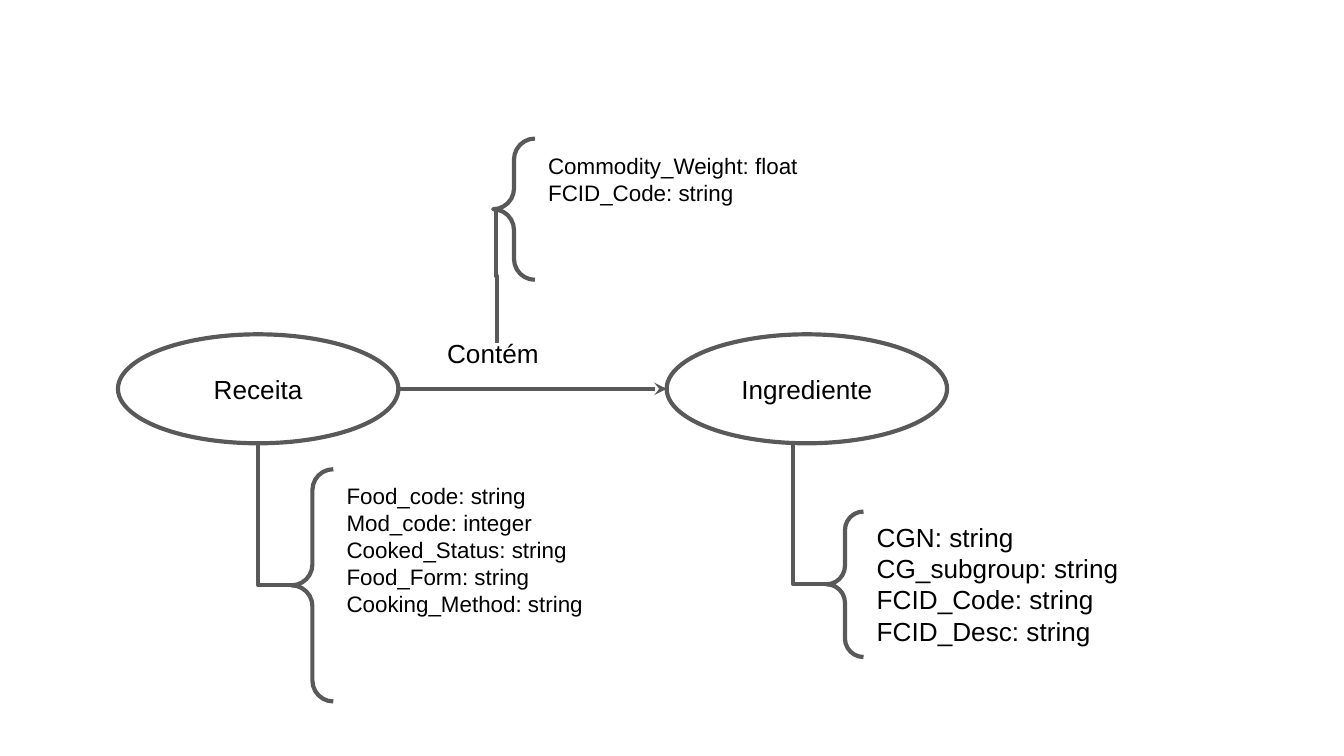
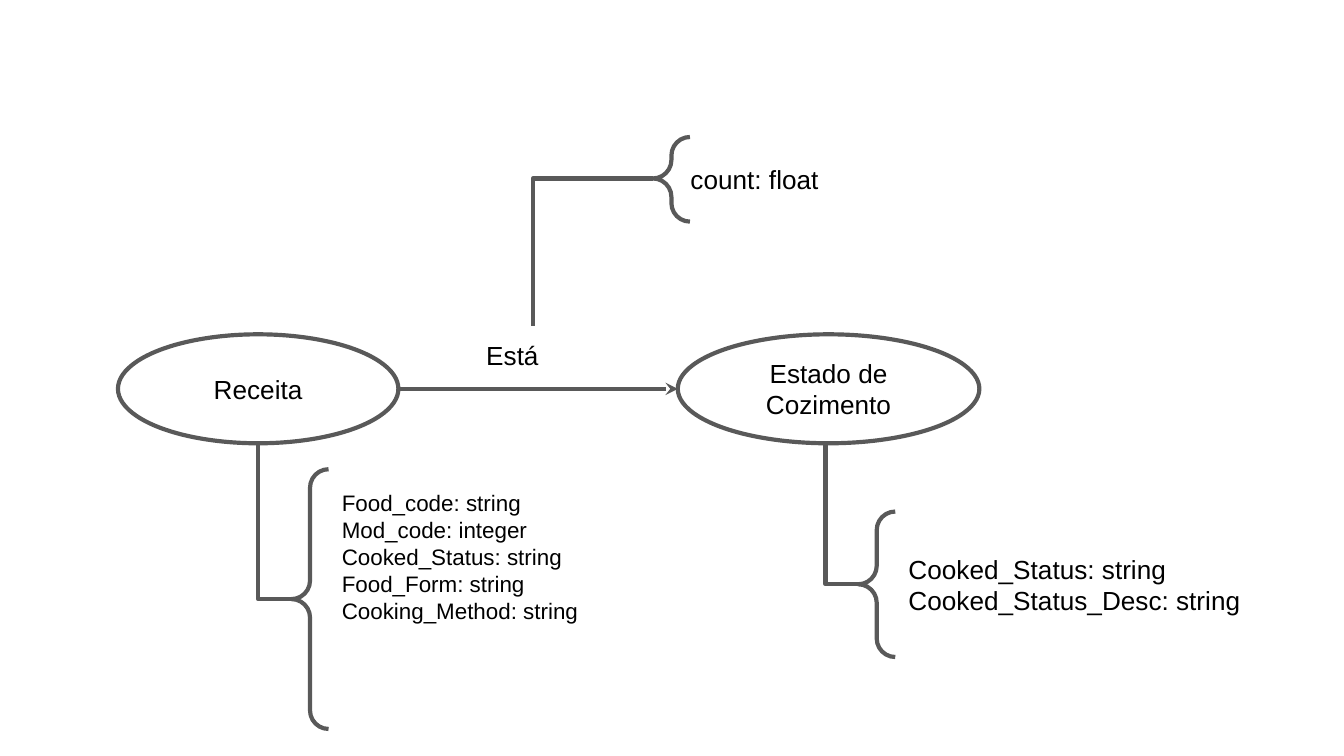
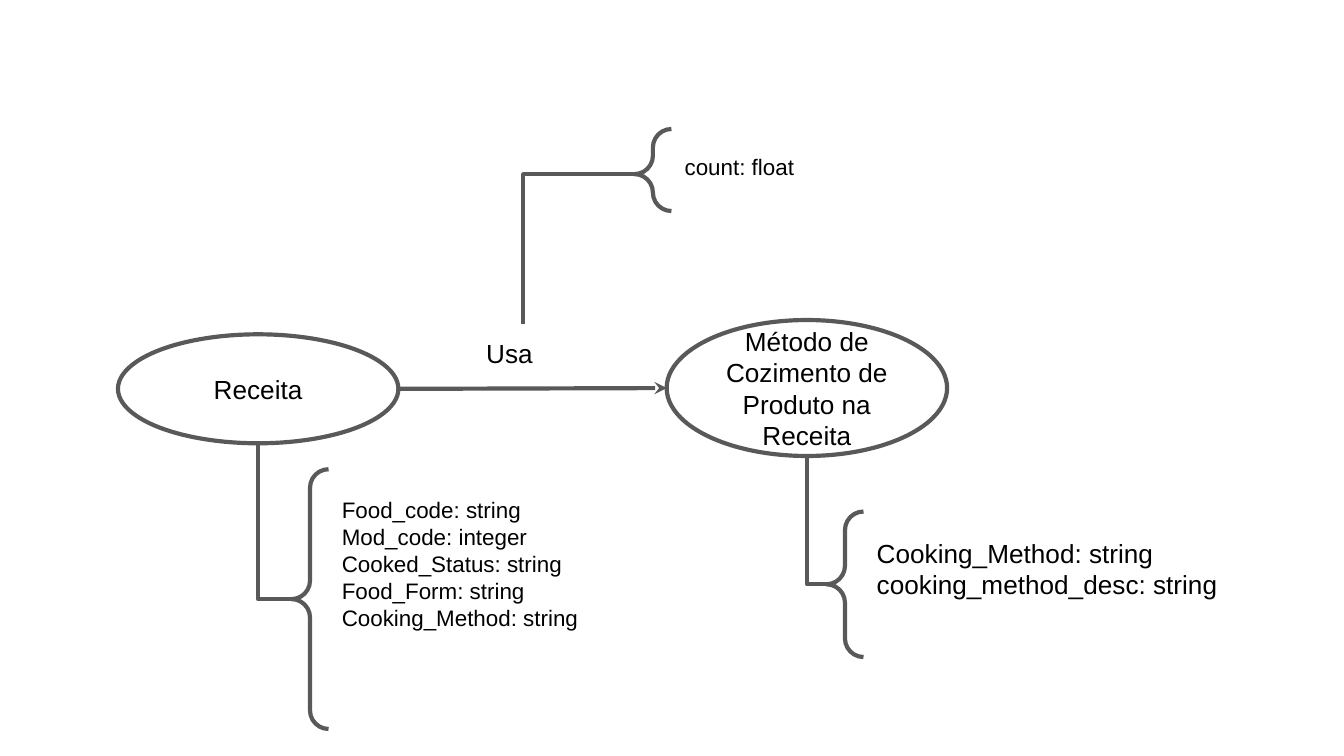
from collections import namedtuple

from lxml import etree
from pptx import Presentation
from pptx.dml.color import RGBColor
from pptx.enum.shapes import MSO_CONNECTOR, MSO_SHAPE
from pptx.enum.text import MSO_ANCHOR, MSO_AUTO_SIZE, PP_ALIGN
from pptx.oxml.ns import qn
from pptx.util import Cm, Pt

STRAIGHT, ELBOW = MSO_CONNECTOR.STRAIGHT, MSO_CONNECTOR.ELBOW
ELLIPSE, LEFT_BRACE = MSO_SHAPE.OVAL, MSO_SHAPE.LEFT_BRACE
LEFT, CENTER = PP_ALIGN.LEFT, PP_ALIGN.CENTER
TOP, MIDDLE = MSO_ANCHOR.TOP, MSO_ANCHOR.MIDDLE
GROW = MSO_AUTO_SIZE.SHAPE_TO_FIT_TEXT

COLORS = {"text": "000000", "line": "595959", "node": "FFFFFF"}
FONT = "Arial"
LINE_WIDTH = Pt(2.25)
INSET = Cm(0.25)
NAME_SIZE, SMALL_SIZE = 14, 12
LABEL_HEIGHT = 1.12

# All boxes are in centimetres
Box = namedtuple("Box", "left top width height")
RECIPE_BOX = Box(2.23, 6.32, 5.3, 2.06)
RECIPE_FIELDS = ["Food_code: string", "Mod_code: integer", "Cooked_Status: string",
                 "Food_Form: string", "Cooking_Method: string"]


def rgb(name):
    return RGBColor.from_string(COLORS[name])


def lengths(box):
    return [Cm(value) for value in box]


def middle(box):
    return box.top + box.height / 2


def style_line(line):
    line.color.rgb = rgb("line")
    line.width = LINE_WIDTH


def write(frame, lines, size, align=LEFT, anchor=TOP):
    frame.word_wrap = True
    frame.vertical_anchor = anchor
    frame.margin_left = frame.margin_right = INSET
    frame.margin_top = frame.margin_bottom = INSET
    for index, line in enumerate(lines):
        paragraph = frame.paragraphs[0] if index == 0 else frame.add_paragraph()
        paragraph.alignment = align
        run = paragraph.add_run()
        run.text = line
        run.font.name = FONT
        run.font.size = Pt(size)
        run.font.color.rgb = rgb("text")


def add_text(slide, box, lines, size):
    frame = slide.shapes.add_textbox(*lengths(box)).text_frame
    write(frame, lines, size)
    frame.auto_size = GROW


def add_link(slide, kind, begin, end):
    link = slide.shapes.add_connector(kind, *lengths(begin + end))
    style_line(link.line)
    etree.SubElement(link._element.spPr, qn("a:effectLst"))
    return link


def add_corner(slide, begin, end):
    """One bend: sideways from begin, then up or down to end."""
    properties = add_link(slide, ELBOW, begin, end)._element.spPr
    properties.find(qn("a:prstGeom")).set("prst", "bentConnector2")
    frame = properties.find(qn("a:xfrm"))
    if frame.get("flipH") and frame.get("flipV"):
        # both flips together are a half turn
        del frame.attrib["flipH"], frame.attrib["flipV"]
        frame.set("rot", str(180 * 60000))


def add_riser(slide, foot, head):
    """Two bends: up from foot, a small step left, up to head."""
    x, y = (foot[0] + head[0]) / 2, (foot[1] + head[1]) / 2
    run, step = (foot[1] - head[1]) / 2, (foot[0] - head[0]) / 2
    riser = add_link(slide, ELBOW, (x + run, y - step), (x - run, y + step))
    riser._element.spPr.find(qn("a:xfrm")).set("rot", str(90 * 60000))


def add_entity(slide, box, name):
    node = slide.shapes.add_shape(ELLIPSE, *lengths(box))
    node.shadow.inherit = False
    node.fill.solid()
    node.fill.fore_color.rgb = rgb("node")
    style_line(node.line)
    write(node.text_frame, [name], NAME_SIZE, CENTER, MIDDLE)


def add_fields(slide, box, fields, size, text_top, text_height,
               text_width=6.83, gap=0, tip=0.5):
    """Brace in the box with its fields on the right; returns the tip's position."""
    brace = slide.shapes.add_shape(LEFT_BRACE, *lengths(box))
    brace.shadow.inherit = False
    brace.fill.background()
    style_line(brace.line)
    brace.adjustments[0] = 0.5
    brace.adjustments[1] = tip
    text_box = Box(box.left + box.width + gap, text_top, text_width, text_height)
    add_text(slide, text_box, fields, size)
    return box.left, box.top + box.height * tip


def add_relation(slide, source, target, label_box, label):
    arrow = add_link(slide, STRAIGHT, (source.left + source.width, middle(source)),
                     (target.left, middle(target)))
    etree.SubElement(arrow.line._get_or_add_ln(), qn("a:tailEnd"), type="stealth")
    add_text(slide, label_box, [label], NAME_SIZE)


def add_recipe(slide, brace_box, text_top):
    add_entity(slide, RECIPE_BOX, "Receita")
    tip = add_fields(slide, brace_box, RECIPE_FIELDS, SMALL_SIZE, text_top, 3.07)
    center = RECIPE_BOX.left + RECIPE_BOX.width / 2
    add_corner(slide, tip, (center, RECIPE_BOX.top + RECIPE_BOX.height))


def add_target(slide, box, name, brace_left, stem_x, fields, **text):
    add_entity(slide, box, name)
    tip = add_fields(slide, Box(brace_left, 9.67, 0.7, 2.75), fields, NAME_SIZE, **text)
    add_corner(slide, tip, (stem_x, box.top + box.height))


def build_contains(slide):
    target = Box(12.6, 6.32, 5.3, 2.06)
    add_recipe(slide, Box(5.51, 8.87, 0.79, 4.39), 8.87)
    add_target(slide, target, "Ingrediente", 15.62, 14.99,
               ["CGN: string", "CG_subgroup: string", "FCID_Code: string",
                "FCID_Desc: string"], text_top=9.6, text_height=2.9)
    add_relation(slide, RECIPE_BOX, target, Box(8.2, 6.12, 2.64, LABEL_HEIGHT), "Contém")
    tip_x, tip_y = add_fields(slide, Box(9.32, 2.62, 0.79, 2.67),
                              ["Commodity_Weight: float", "FCID_Code: string"],
                              SMALL_SIZE, 2.62, 1.55)
    add_riser(slide, (9.4, 6.48), (tip_x + 0.05, tip_y))


def build_counted(slide, target, name, label, label_box, recipe_text_top,
                  count_box, count, target_fields):
    """Relation whose only field is a count, joined to the top of its label."""
    add_recipe(slide, Box(5.51, 8.87, 0.7, 4.91), recipe_text_top)
    add_target(slide, target, name, **target_fields)
    add_relation(slide, RECIPE_BOX, target, label_box, label)
    tip = add_fields(slide, count_box, ["count: float"], **count)
    add_corner(slide, tip, (label_box.left + label_box.width / 2, label_box.top))


presentation = Presentation()
presentation.slide_width, presentation.slide_height = Cm(25.4), Cm(14.29)
blank = presentation.slide_layouts[6]

# Recipe contains ingredient
build_contains(presentation.slides.add_slide(blank))

# Recipe is in a cooking state
build_counted(
    presentation.slides.add_slide(blank),
    Box(12.81, 6.32, 5.7, 2.06), "Estado de Cozimento",
    "Está", Box(8.94, 6.17, 2.26, LABEL_HEIGHT), 9,
    Box(12.34, 2.59, 0.7, 1.6),
    dict(size=NAME_SIZE, text_top=2.84, text_height=1.12, text_width=3.38,
         gap=-0.24, tip=0.49),
    dict(brace_left=16.22, stem_x=15.6, text_top=10.21, text_height=1.7,
         fields=["Cooked_Status: string", "Cooked_Status_Desc: string"]))

# Recipe uses a cooking method
build_counted(
    presentation.slides.add_slide(blank),
    Box(12.6, 6.05, 5.3, 2.57), "Método de Cozimento de Produto na Receita",
    "Usa", Box(8.94, 6.12, 1.9, LABEL_HEIGHT), 9.13,
    Box(11.99, 2.44, 0.7, 1.55),
    dict(size=SMALL_SIZE, text_top=2.64, text_height=1.02, tip=0.55),
    dict(brace_left=15.62, stem_x=15.25, text_top=9.9, text_height=2.31,
         text_width=7.29,
         fields=["Cooking_Method: string", "cooking_method_desc: string"]))

presentation.save("out.pptx")
